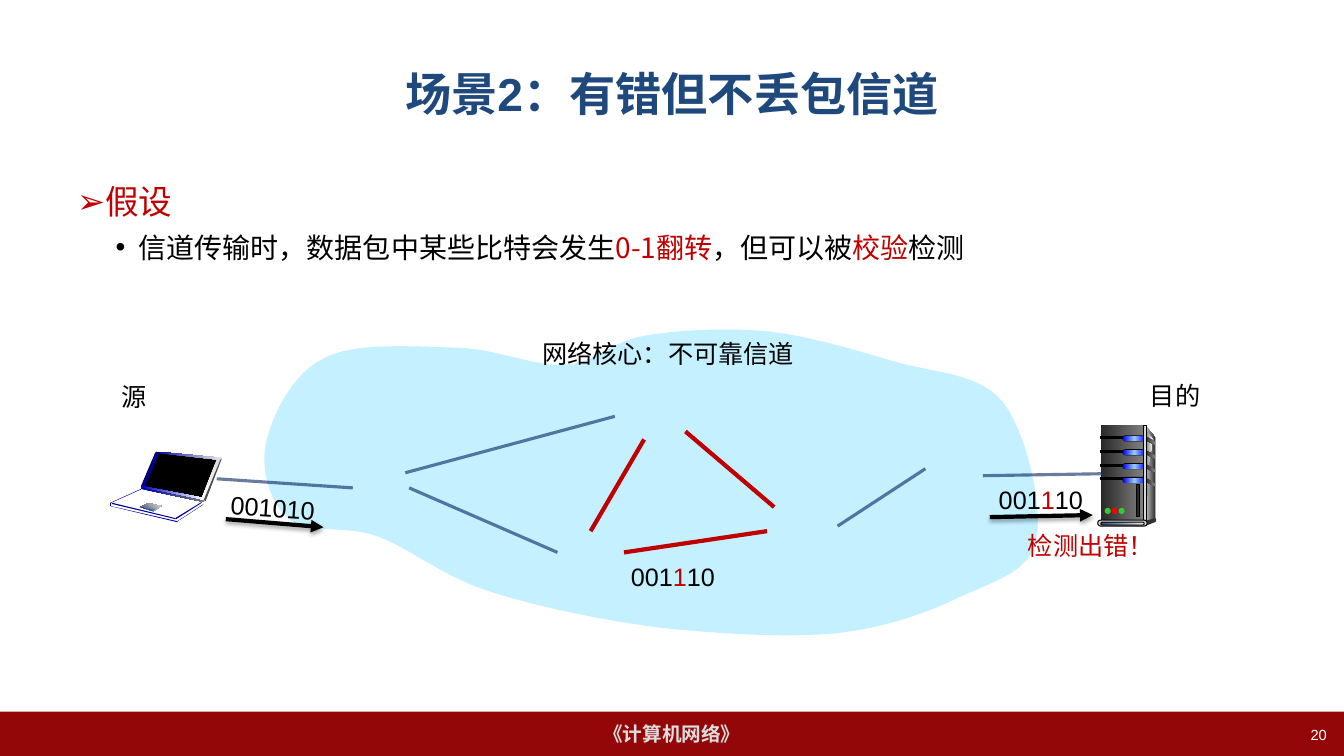
"""Builds the slide on a channel with bit errors but no packet loss."""
from copy import deepcopy
from lxml.etree import SubElement
from pptx import Presentation
from pptx.dml.color import RGBColor
from pptx.enum.shapes import MSO_CONNECTOR, MSO_SHAPE
from pptx.enum.text import MSO_ANCHOR, PP_ALIGN
from pptx.oxml.ns import qn
from pptx.util import Pt

WHITE = RGBColor(0xFF, 0xFF, 0xFF)
BLACK = RGBColor(0, 0, 0)
RED = RGBColor(0xC0, 0, 0)
MAROON = RGBColor(0x94, 0x07, 0x09)
TITLE_BLUE = RGBColor(0x1F, 0x49, 0x7D)
NAVY = RGBColor(0, 0x20, 0x60)
CLOUD = RGBColor(0xC4, 0xF0, 0xFF)
CASE_BLUE = RGBColor(0, 0, 0x99)
BRIGHT_BLUE = RGBColor(0, 0, 0xCC)
PURE_BLUE = RGBColor(0, 0, 0xFF)
SKY = RGBColor(0x99, 0xCC, 0xFF)
KEY_BLUE = RGBColor(0x4F, 0x81, 0xBD)
PALE = RGBColor(0xEA, 0xEA, 0xEA)
LIGHT = RGBColor(0xDD, 0xDD, 0xDD)
GREY = RGBColor(0x80, 0x80, 0x80)
SLATE = RGBColor(0x4D, 0x4D, 0x4D)
DARK = RGBColor(0x33, 0x33, 0x33)
COAL = RGBColor(0x29, 0x29, 0x29)
LED_GREEN = RGBColor(0x33, 0xCC, 0x33)
LED_RED = RGBColor(0xFF, 0, 0)
CJK = "Noto Sans CJK SC"

CLOUD_START = (275, 5.8)
CLOUD_CURVES = [
    ((250.6, 9.4), (240.5, 25.2), (218.2, 26.6)),
    ((195.8, 28.1), (169.2, 15.1), (141.1, 14.4)),
    ((112.3, 13.7), (68.4, 10.1), (46.1, 21.6)),
    ((23, 32.4), (8.6, 62.6), (4.3, 82.1)),
    ((0, 101.5), (7.2, 126), (20.9, 136.8)),
    ((33.8, 148.3), (59, 140.4), (83.5, 149)),
    ((107.3, 157.7), (130.3, 177.8), (164.2, 188.6)),
    ((198, 199.4), (246.2, 209.5), (287.3, 214.6)),
    ((329, 218.9), (378, 221.8), (413.3, 218.2)),
    ((449.3, 213.8), (478.1, 203), (501.8, 191.5)),
    ((525.6, 180.7), (550.1, 174.2), (554.4, 151.2)),
    ((559.4, 127.4), (547.2, 74.2), (530.6, 53.3)),
    ((513.4, 31.7), (479.5, 32.4), (451.4, 23.8)),
    ((424.1, 15.8), (393.8, 6.5), (364.3, 2.9)),
    ((334.8, 0), (299.5, 1.4), CLOUD_START),
]
LAPTOP_PARTS = [
    ([(32.4, 0.7), (22.3, 24.5), (67, 34.6), (77.8, 5)], [BLACK], 0),
    ([(33.1, 0), (79.2, 4.3), (78.5, 5.8), (32.4, 0.7)], [CASE_BLUE, PALE], 0),
    ([(33.1, 0), (22.3, 25.2), (24.5, 25.9), (35.3, 0.7)], [CASE_BLUE], 0),
    ([(79.2, 4.3), (67.7, 34.6), (65.5, 33.8), (76.3, 5.8)], [LIGHT, WHITE], 90),
    ([(22.3, 24.5), (22.3, 25.9), (67, 34.6), (67, 33.1)], [BRIGHT_BLUE, WHITE], 0),
    ([(79.2, 5), (79.9, 5), (68.4, 35.3), (67, 34.6)], [SLATE], 0),
    ([(22.3, 25.9), (22.3, 26.6), (67, 36), (67.7, 35.3)], [CASE_BLUE, GREY], 0),
    ([(27.4, 36.7), (36.7, 38.9), (31, 42.5), (21.6, 39.6)], [SLATE, LIGHT], 315),
    ([(48.2, 49.7), (67, 37.4), (66.2, 38.2), (47.5, 50.4)], [CASE_BLUE], 0),
    ([(0, 38.9), (0.7, 38.9), (48.2, 49.7), (48.2, 50.4)], [CASE_BLUE], 0),
    ([(0.7, 36.7), (0.7, 38.9), (0, 38.9), (0, 36.7)], [CASE_BLUE], 0),
    ([(22.3, 26.6), (0, 36.7), (0.7, 36.7), (22.3, 27)], [CASE_BLUE], 0),
    ([(1.4, 36.7), (2.2, 36.7), (46.8, 47.5), (46.8, 48.2), (1.4, 37.4)], [CASE_BLUE], 0),
    ([(46.8, 48.2), (47.5, 48.2), (65.5, 36.7), (65.5, 36), (46.8, 47.5)], [CASE_BLUE], 0),
]


def paint(sp, colors, angle=0, outline=False):
    """Fill a shape with one colour or an even gradient."""
    sp.shadow.inherit = False
    if len(colors) == 1:
        sp.fill.solid()
        sp.fill.fore_color.rgb = colors[0]
    else:
        sp.fill.gradient()
        sp.fill.gradient_angle = -angle % 360
        gs_list = sp._element.spPr.find(".//" + qn("a:gsLst"))
        for _ in colors[2:]:
            gs_list.append(deepcopy(gs_list[0]))
        for i, (stop, color) in enumerate(zip(sp.fill.gradient_stops, colors)):
            stop.position = i / (len(colors) - 1)
            stop.color.rgb = color
    if outline:
        sp.line.color.rgb = BLACK
        sp.line.width = Pt(0.75)
    else:
        sp.line.fill.background()


def add_poly(slide, x, y, points, colors, angle=0):
    """Draw a closed outline whose points are relative to x, y."""
    pts = [(Pt(x + px), Pt(y + py)) for px, py in points]
    builder = slide.shapes.build_freeform(*pts[0], scale=1.0)
    builder.add_line_segments(pts[1:], close=True)
    paint(builder.convert_to_shape(), colors, angle)


def add_preset(slide, kind, x, y, w, h, colors, outline=False):
    """Draw a painted preset shape."""
    sp = slide.shapes.add_shape(kind, Pt(x), Pt(y), Pt(w), Pt(h))
    if kind == MSO_SHAPE.ROUNDED_RECTANGLE:
        sp.adjustments[0] = 0.5
    paint(sp, colors, outline=outline)
    return sp


def add_line(slide, x1, y1, x2, y2, color, width, alpha=None, arrow=False):
    """Draw a line, optionally translucent or with a shadowed arrowhead."""
    cx = slide.shapes.add_connector(MSO_CONNECTOR.STRAIGHT, Pt(x1), Pt(y1), Pt(x2), Pt(y2))
    cx.line.color.rgb = color
    cx.line.width = Pt(width)
    sp_pr = cx._element.spPr
    if alpha:
        SubElement(sp_pr.find(".//" + qn("a:srgbClr")), qn("a:alpha"), val=str(alpha * 1000))
    if arrow:
        SubElement(sp_pr.find(qn("a:ln")), qn("a:tailEnd"), type="triangle")
    effects = SubElement(sp_pr, qn("a:effectLst"))
    if arrow:
        shadow = SubElement(effects, qn("a:outerShdw"), blurRad=str(Pt(3.1)),
                            dist=str(Pt(1.8)), dir="5400000", rotWithShape="0")
        shade = SubElement(shadow, qn("a:srgbClr"), val=str(BLACK))
        SubElement(shade, qn("a:alpha"), val="35000")


def add_runs(p, runs, size, font="Arial", bold=False):
    """Append (text, colour) runs to a paragraph."""
    for text, color in runs:
        r = p.add_run()
        r.text = text
        r.font.size = Pt(size)
        r.font.name = font
        r.font.bold = bold
        r.font.color.rgb = color
        SubElement(r._r.get_or_add_rPr(), qn("a:ea"), typeface=CJK)


def add_text(slide, x, y, w, h, runs, size=18, bold=False, align=PP_ALIGN.LEFT,
             anchor=MSO_ANCHOR.TOP, wrap=True, rotation=0):
    """Add a one-paragraph text box."""
    tb = slide.shapes.add_textbox(Pt(x), Pt(y), Pt(w), Pt(h))
    tb.rotation = rotation
    tf = tb.text_frame
    tf.word_wrap = wrap
    tf.vertical_anchor = anchor
    tf.paragraphs[0].alignment = align
    add_runs(tf.paragraphs[0], runs, size, bold=bold)


def add_footer(slide, x, y, w, h):
    """Draw the footer band with course name and page number."""
    band = add_preset(slide, MSO_SHAPE.RECTANGLE, x, y, w, h, [MAROON])
    p = band.text_frame.paragraphs[0]
    p.alignment = PP_ALIGN.CENTER
    add_runs(p, [("《计算机网络》", LIGHT)], 14, bold=True)
    add_text(slide, x + w - 229.2, y + 6.5, 224, 25, [("20", WHITE)], size=10.5, align=PP_ALIGN.RIGHT)


def add_assumptions(slide, x, y, w, h):
    """Write the bulleted assumption and its detail."""
    tf = slide.shapes.add_textbox(Pt(x), Pt(y), Pt(w), Pt(h)).text_frame
    tf.word_wrap = True
    detail = [("信道传输时，数据包中某些比特会发生", BLACK), ("0-1翻转", RED),
              ("，但可以被", BLACK), ("校验", RED), ("检测", BLACK)]
    items = [("➢", 20, 20, 24, [("假设", RED)]), ("•", 44, 16.5, 20, detail)]
    for i, (bullet, margin, hang, size, runs) in enumerate(items):
        p = tf.add_paragraph() if i else tf.paragraphs[0]
        p_pr = p._p.get_or_add_pPr()
        p_pr.set("marL", str(Pt(margin)))
        p_pr.set("indent", str(-Pt(hang)))
        SubElement(p_pr, qn("a:buFont"), typeface="Arial")
        SubElement(p_pr, qn("a:buChar"), char=bullet)
        p.level = i
        if i:
            p.space_before = Pt(6)
        add_runs(p, runs, size, font=CJK)


def add_laptop(slide, x, y):
    """Draw the source laptop."""
    for points, colors, angle in LAPTOP_PARTS:
        add_poly(slide, x, y, points, colors, angle)
    for dx, dy in ((0, 0), (4.3, 1.4)):
        add_poly(slide, x + dx, y + dy, [(23, 39.6), (24.5, 38.9), (28.1, 39.6), (26.6, 41)], [KEY_BLUE])
        add_poly(slide, x + dx, y + dy, [(23, 39.6), (26.6, 41), (25.9, 41), (22.3, 39.6)], [CASE_BLUE])


def add_server(slide, x, y):
    """Draw the destination server tower."""
    rect, pill, oval = MSO_SHAPE.RECTANGLE, MSO_SHAPE.ROUNDED_RECTANGLE, MSO_SHAPE.OVAL
    add_poly(slide, x, y, [(34.6, 0.7), (41, 8.6), (41, 66.2), (33.1, 69.1)], [LIGHT, DARK])
    add_preset(slide, rect, x + 2.2, y, 31, 68.4, [COAL, GREY])
    add_poly(slide, x, y, [(34.6, 4.3), (39.6, 10.1), (36, 30), (34.6, 67)], [GREY, WHITE])
    for i in range(4):
        top = y + 7.9 + 9.9 * i
        add_preset(slide, rect, x + 2.2, top, 17.3, 1.4, [BLACK], outline=True)
        add_preset(slide, pill, x + 17.6, top - 0.7, 17.3, 4.3, [BLACK])
        add_preset(slide, pill, x + 18, top, 16.6, 3.4, [PURE_BLUE, SKY, PURE_BLUE])
        add_poly(slide, x, top, [(34, 0), (41, 3.8), (41, 6), (34, 2.7)], [COAL, GREY])
    add_preset(slide, rect, x + 32.4, y, 2.2, 68.4, [DARK, LIGHT, DARK], outline=True)
    add_preset(slide, oval, x + 40.3, y + 66.2, 1.4, 2.9, [DARK])
    add_poly(slide, x, y, [(33.8, 68.4), (33.8, 72), (41, 69.1), (41, 66.2)], [DARK])
    add_preset(slide, pill, x, y + 67.7, 35.3, 4.3, [LIGHT], outline=True)
    add_preset(slide, pill, x + 2.2, y + 69.1, 31, 2.2, [TITLE_BLUE, PALE], outline=True)
    for i, color in enumerate((LED_GREEN, LED_RED, LED_GREEN)):
        add_preset(slide, oval, x + 5 + 5 * i, y + 59, 4.3, 4.3, [color])
    add_preset(slide, rect, x + 27.4, y + 42.5, 2.2, 23, [COAL], outline=True)


def add_cloud(slide, x, y, steps=12):
    """Draw the network core cloud from its Bézier curves."""
    points = [CLOUD_START]
    for c1, c2, end in CLOUD_CURVES:
        start = points[-1]
        for t in (k / steps for k in range(1, steps + 1)):
            points.append(tuple((1 - t) ** 3 * a + 3 * t * (1 - t) ** 2 * b + 3 * t * t * (1 - t) * c + t ** 3 * d
                                for a, b, c, d in zip(start, c1, c2, end)))
    add_poly(slide, x, y, points[:-1], [CLOUD])


def add_network(slide, x, y):
    """Draw hosts, cloud, links, packets and labels."""
    add_laptop(slide, x, y + 88.6)
    add_server(slide, x + 705.6, y + 69.8)
    add_cloud(slide, x + 107.3, y)
    for x1, y1, x2, y2 in ((343.4, 145.4, 381.6, 79.9), (367.2, 160.6, 469.4, 145.4), (411.1, 74.2, 474.5, 128.2)):
        add_line(slide, x + x1, y + y1, x + x2, y + y2, RED, 3)
    for x1, y1, x2, y2 in ((76.3, 108, 173.5, 114.5), (319.7, 160.6, 213.8, 114.5), (360.7, 63.4, 211, 103.7),
                           (582.5, 100.8, 519.8, 141.8), (707.8, 104.4, 623.5, 105.8)):
        add_line(slide, x + x1, y + y1, x + x2, y + y2, NAVY, 2.25, alpha=58)
    for text, dx, dy, w in (("源", 1.4, 34.6, 32.4), ("目的", 735.8, 33.8, 51.1), ("网络核心：不可靠信道", 301.7, 4.3, 196.6)):
        add_text(slide, x + dx, y + dy, w, 29, [(text, BLACK)], wrap=False)
    flipped = [("001", BLACK), ("1", RED), ("10", BLACK)]
    for runs, dx, dy, angle in (([("001010", BLACK)], 79.2, 115.2, 3.8), (flipped, 365, 163.4, 0),
                                (flipped, 627.8, 108.7, 0), ([("检测出错！", RED)], 648.7, 141.1, 0)):
        add_text(slide, x + dx, y + dy, 107.3, 29, runs, rotation=angle)
    for x1, y1, x2, y2 in ((82.8, 136.8, 152.6, 142.6), (628.5, 135.4, 702, 133.9)):
        add_line(slide, x + x1, y + y1, x + x2, y + y2, BLACK, 3, arrow=True)


def main():
    """Build and save the slide."""
    prs = Presentation()
    prs.slide_width, prs.slide_height = Pt(960), Pt(540)
    slide = prs.slides.add_slide(prs.slide_layouts[6])
    add_footer(slide, 0, 508.3, 960, 31.7)
    add_text(slide, 48, 21.6, 864, 90, [("场景2：有错但不丢包信道", TITLE_BLUE)], size=33, bold=True,
             align=PP_ALIGN.CENTER, anchor=MSO_ANCHOR.MIDDLE)
    add_assumptions(slide, 48, 126, 864, 356.4)
    add_network(slide, 78.5, 234)
    prs.save("out.pptx")


if __name__ == "__main__":
    main()
